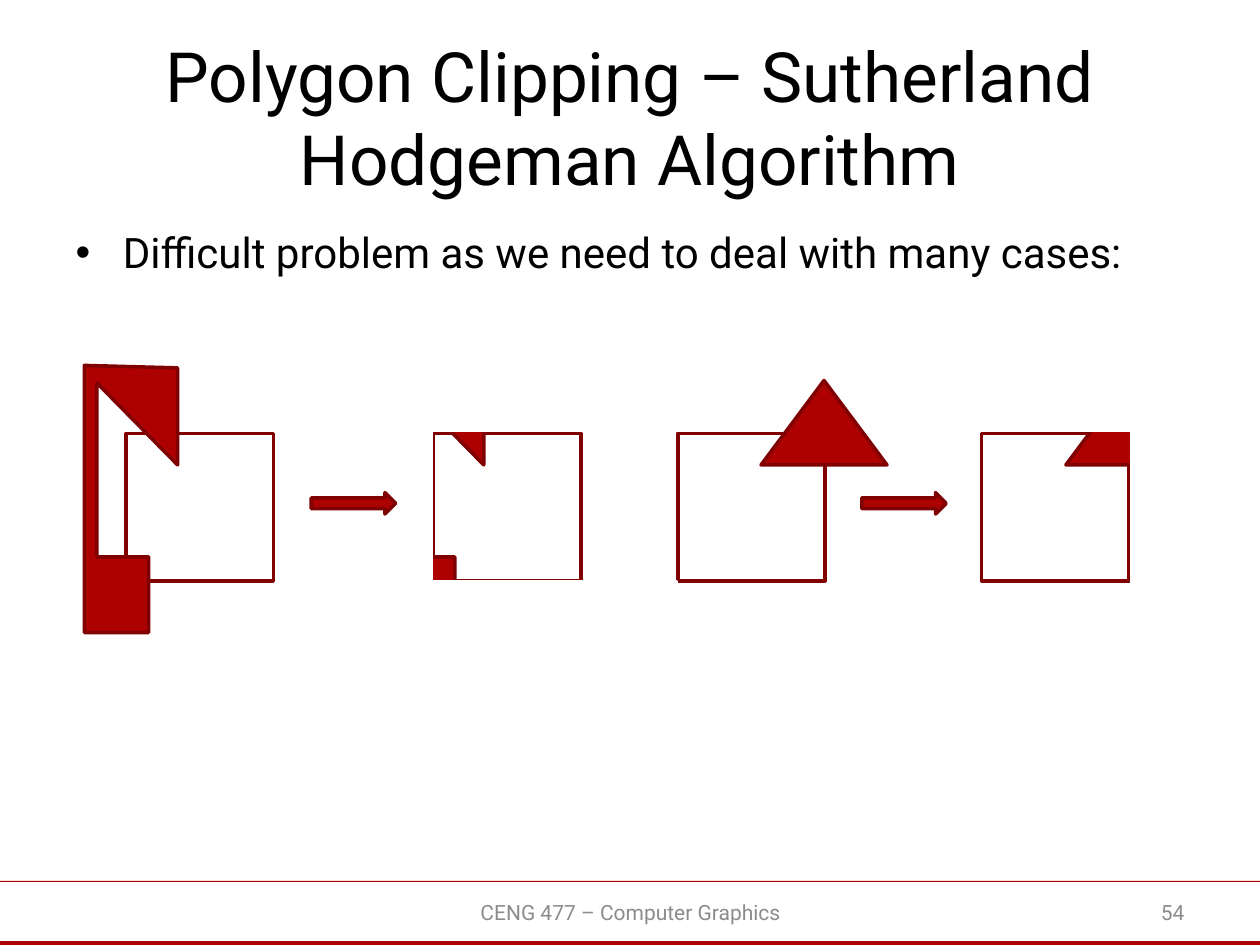
"""Build the slide on polygon clipping cases."""
import pptx
import pptx.util
import pptx.dml.color
import pptx.enum.shapes
import pptx.enum.text

WIDE, HIGH = 10, 7.5
FONT = "Roboto"
HUES = {"red": "AD0101", "dark": "800101", "white": "FFFFFF", "black": "000000", "grey": "8C8C8C"}
TITLE = "Polygon Clipping – Sutherland Hodgeman Algorithm"
BODY = "Difficult problem as we need to deal with many cases:"
KIND = pptx.enum.shapes.MSO_SHAPE
ALIGN = pptx.enum.text.PP_ALIGN
MIDDLE = pptx.enum.text.MSO_ANCHOR.MIDDLE
INCH = pptx.util.Inches

FOOT = [
    ("CENG 477 – Computer Graphics", 3.42, 3.17, ALIGN.CENTER),
    ("54", 7.17, 2.33, ALIGN.RIGHT),
]
BARS = [(6.99, 0.01), (7.47, 0.03)]
SIDE, TOP = 1.17, 3.44
PEAK = 3.02
ARROW = (0.67, 0.17)
HOOK = [(0, 0), (0, 2.12), (0.51, 2.12), (0.51, 1.52), (0.1, 1.52),
        (0.1, 0.14), (0.74, 0.79), (0.74, 0.02)]
CASES = [
    {"form": "hook", "pairs": [(1, 0.67), (3.44, 3.1)], "arrow": 2.47,
     "masks": [(2.92, 2.77, 0.5, 2.58, 0)]},
    {"form": "peak", "pairs": [(5.38, 6.04), (7.79, 8.46)], "arrow": 6.84,
     "masks": [(8.58, 2.29, 0.67, 1.58, 270), (8.98, 2.85, 0.5, 2.58, 0)]},
]
MASKS = [(3.83, 1.79, 0.67, 2.58, 270), (3.83, 3.58, 0.5, 2.58, 270)]


def tint(name):
    return pptx.dml.color.RGBColor.from_string(HUES[name])


def paint(shape, fill=None, line=None):
    shape.shadow.inherit = False
    if fill:
        shape.fill.solid()
        shape.fill.fore_color.rgb = tint(fill)
    else:
        shape.fill.background()
    if line:
        shape.line.color.rgb = tint(line)
        shape.line.width = pptx.util.Pt(2)
    else:
        shape.line.fill.background()


def place(shape, *box):
    shape.left, shape.top, shape.width, shape.height = map(INCH, box)


def draw(shapes, kind, box, fill=None, line=None, turn=0):
    shape = shapes.add_shape(kind, *map(INCH, box))
    shape.rotation = turn
    paint(shape, fill, line)


def hide(shapes, masks):
    for *box, turn in masks:
        draw(shapes, KIND.RECTANGLE, box, "white", "white", turn)


def clip(shapes, form, left):
    if form == "peak":
        draw(shapes, KIND.ISOSCELES_TRIANGLE, (left, PEAK, 1, 0.67), "red", "dark")
        return
    spots = [(INCH(left + x), INCH(2.9 + y)) for x, y in HOOK]
    pen = shapes.build_freeform(*spots[0])
    pen.add_line_segments(spots[1:], close=True)
    paint(pen.convert_to_shape(), "red", "dark")


def write(frame, text, size, hue, align):
    frame.word_wrap = True
    frame.text = text
    para = frame.paragraphs[0]
    para.alignment = align
    para.space_before = pptx.util.Pt(0)
    para.font.name = FONT
    para.font.size = pptx.util.Pt(size)
    para.font.color.rgb = tint(hue)


def main():
    deck = pptx.Presentation()
    deck.slide_width, deck.slide_height = INCH(WIDE), INCH(HIGH)
    slide = deck.slides.add_slide(deck.slide_layouts[1])
    shapes = slide.shapes
    title, body = slide.placeholders
    place(title, 0.5, 0.3, 9, 1.25)
    write(title.text_frame, TITLE, 39.6, "black", ALIGN.CENTER)
    title.text_frame.vertical_anchor = MIDDLE
    place(body, 0.5, 1.75, 9, 4.95)
    write(body.text_frame, BODY, 24, "black", ALIGN.LEFT)
    for holder in (title, body):
        holder.text_frame.auto_size = pptx.enum.text.MSO_AUTO_SIZE.NONE

    for top, tall in BARS:
        draw(shapes, KIND.RECTANGLE, (0, top, WIDE, tall), "red")
    for case in CASES:
        group = shapes.add_group_shape().shapes
        for left, start in case["pairs"]:
            draw(group, KIND.RECTANGLE, (left, TOP, SIDE, SIDE), line="dark")
            clip(group, case["form"], start)
        hide(group, case["masks"])
        draw(group, KIND.RIGHT_ARROW, (case["arrow"], 3.91, *ARROW), "red", "dark")
    hide(shapes, MASKS)

    for text, left, wide, align in FOOT:
        frame = shapes.add_textbox(*map(INCH, (left, 7.04, wide, 0.4))).text_frame
        write(frame, text, 12, "grey", align)
        frame.vertical_anchor = MIDDLE
    deck.save("out.pptx")


if __name__ == "__main__":
    main()
